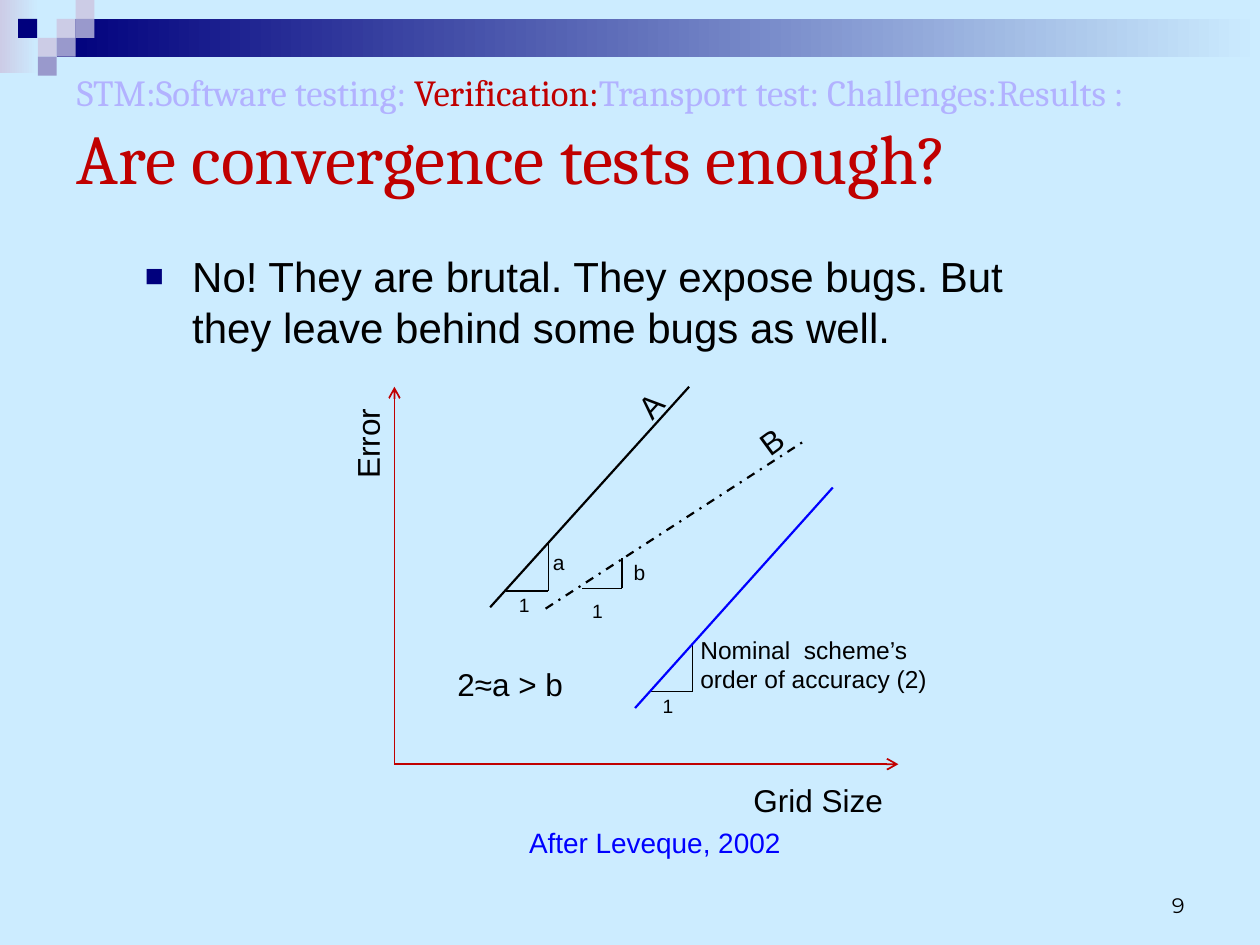
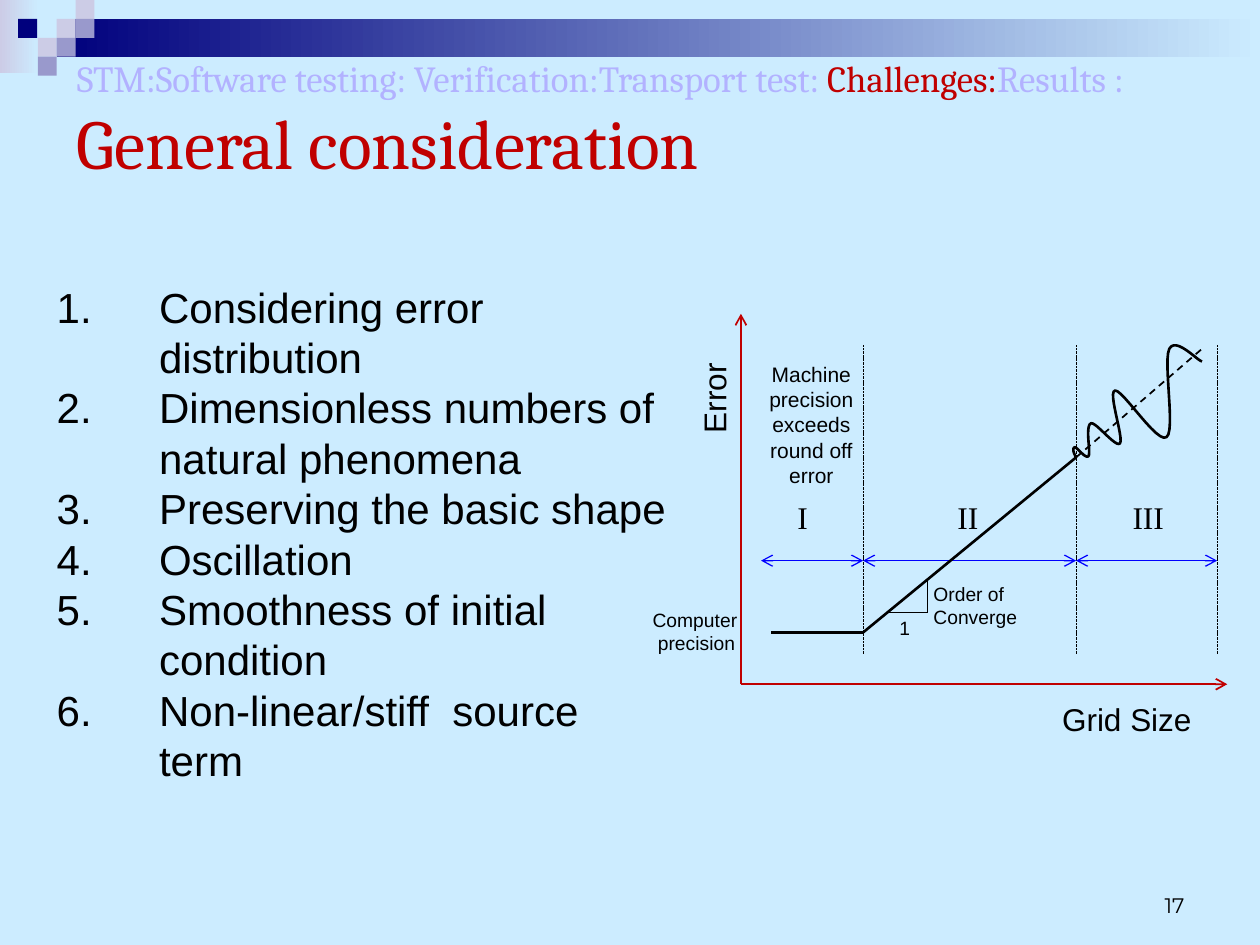
"""Build two slides on convergence tests and error regions."""
from lxml.etree import SubElement as Sub
from pptx import Presentation
from pptx.dml.color import RGBColor
from pptx.enum.dml import MSO_LINE as Dash
from pptx.enum.shapes import MSO_CONNECTOR as Conn, MSO_SHAPE as Kind
from pptx.enum.text import MSO_ANCHOR as Anchor, MSO_AUTO_SIZE as Auto, PP_ALIGN as Align
from pptx.oxml.ns import qn
from pptx.util import Pt

SKY, NAVY, LILAC, MID = "CCECFF", "00007D", "CCCCE6", "9999CC"
RED, BLUE, BLACK, FADED = "C00000", "0000FF", "000000", "B2B2FF"
SANS, SERIF, ROMAN, FOOT = "Arial", "Cambria", "Times New Roman", "Montserrat"

CRUMBS = ["STM:", "Software testing: ", "Verification:",
          "Transport test: ", "Challenges:", "Results :"]
BANDS = [(0, 0, 22.3, 41.8, LILAC), (32.4, 10.8, 687.6, 21.6, NAVY)]
TILE = 10.8
TILES = [(32.4, 10.8, LILAC), (43.2, 0, LILAC), (43.2, 10.8, MID),
         (21.6, 21.6, LILAC), (10.4, 10.8, NAVY), (32.4, 21.6, MID),
         (21.6, 32.4, MID)]

TESTS = {
    "title": "Are convergence tests enough?", "crumb": 2, "page": "9",
    "head": (36.7, 31.7, 674.6, 90),
    "body": (75.6, 139.7, 553.7, 72.7),
    "items": ["No! They are brutal. They expose bugs. "
              "But they leave behind some bugs as well."],
    "axes": (225.4, 436.7, 221, 513.4),
    "steps": [(372.2, 395.3, 23.4, 27.4), (289.4, 337.7, 24, 27.4),
              (332.6, 336.2, 22.8, 17.2)],
    "labels": [
        ("Grid Size", (423.4, 442.8, 90, 28.8), 18, {}),
        ("Error", (180, 236.2, 59.8, 28.8), 18, {"turn": 270}),
        ("1", (371.5, 393.1, 21, 20.9), 11, {}),
        ("Nominal  scheme’s order of accuracy (2)",
         (393.1, 359.3, 147.6, 41), 14, {}),
        ("1", (289.4, 335.5, 21, 20.9), 11, {}),
        ("1", (331.2, 339.1, 21, 20.9), 11, {}),
        ("A", (358.6, 217.4, 25.9, 28.8), 18, {"turn": 312.4}),
        ("B", (427.7, 237.6, 25.9, 28.8), 18, {"turn": 323.8}),
        ("a", (308.9, 310.3, 22, 21.6), 12, {}),
        ("b", (355, 316.1, 22, 21.6), 12, {}),
        ("2≈a > b", (254.2, 376.6, 77.8, 28.8), 18, {}),
        ("After Leveque, 2002", (295.2, 468, 202.3, 26.6), 16, {"color": BLUE}),
    ],
}
TRENDS = [((362.9, 404.6), (475.9, 278.6), BLUE, None),
          ((280.1, 347), (393.8, 221), BLACK, None),
          ((311.8, 347.8), (458.6, 252.7), BLACK, Dash.DASH_DOT)]

ERRORS = {
    "title": "General consideration", "crumb": 4, "page": "17",
    "head": (36.7, 25.9, 674.6, 85),
    "body": (25.2, 157, 362.9, 326.9),
    "items": ["Considering error distribution",
              "Dimensionless numbers of natural phenomena",
              "Preserving the basic shape", "Oscillation",
              "Smoothness of initial condition",
              "Non-linear/stiff  source term"],
    "axes": (423.4, 391, 179.3, 701.3),
    "steps": [(507.6, 349.9, 22.5, 18)],
    "labels": [
        ("Grid Size", (599.8, 396.7, 101.5, 28.8), 18, {}),
        ("Error", (370.8, 202.3, 74.9, 29.5), 18, {"turn": 270}),
        ("Machine precision\nexceeds round off error",
         (429.1, 203, 69.1, 78.5), 12, {"align": Align.CENTER}),
        ("Computer\n precision", (365.8, 344.2, 74.9, 33.1), 11, {}),
        ("1", (506.9, 348.5, 21, 20.2), 11, {}),
        ("Order of Converge", (526.3, 329, 80, 34), 11, {}),
        ("III", (640.1, 280.8, 33.1, 28.8), 18, {"font": ROMAN}),
        ("II", (540, 280.8, 33.1, 28.8), 18, {"font": ROMAN}),
        ("I", (448.6, 280.8, 33.1, 28.8), 18, {"font": ROMAN}),
    ],
}
BOUNDS = [434.9, 493.2, 614.9, 695.5]
SPAN_Y, WALL_TOP, WALL_END = 320.4, 197.3, 373.7
FLOOR, KNEE, PEAK, TIP = (440.6, 361.4), (493.2, 361.4), (614.9, 261.4), (687.6, 198.7)
WAVE = [
    ((613.4, 258.5), (612.7, 256.3), (614.2, 255.6)),
    ((615.6, 255.6), (620.6, 262.8), (622.1, 260.6)),
    ((623.5, 258.5), (619.9, 243.4), (623.5, 241.9)),
    ((626.4, 241.2), (637.9, 256.3), (640.1, 253.4)),
    ((642.2, 249.8), (632.9, 223.9), (637.2, 223.2)),
    ((641.5, 222.5), (661.7, 254.2), (666.7, 249.8)),
    ((671.8, 246.2), (664.6, 206.6), (668.2, 199.4)),
    ((671.8, 192.2), (684, 205.9), (686.9, 206.6)),
]


def rgb(code):
    return RGBColor.from_string(code)


def pts(*nums):
    return [Pt(n) for n in nums]


def style(run, size, color=BLACK, font=SANS):
    run.font.size, run.font.name = Pt(size), font
    run.font.color.rgb = rgb(color)


def place(shape, box):
    shape.left, shape.top, shape.width, shape.height = pts(*box)


def block(slide, box, color, fade=False):
    shape = slide.shapes.add_shape(Kind.RECTANGLE, *pts(*box))
    shape.shadow.inherit = False
    shape.line.fill.background()
    if fade:
        shape.fill.gradient()
        shape.fill.gradient_angle = 0
        for stop, code in zip(shape.fill.gradient_stops, (color, SKY)):
            stop.color.rgb = rgb(code)
    else:
        shape.fill.solid()
        shape.fill.fore_color.rgb = rgb(color)


def line(slide, start, end, color=BLACK, width=0.75, dash=None, tips=()):
    wire = slide.shapes.add_connector(Conn.STRAIGHT, *pts(*start, *end))
    wire.line.color.rgb, wire.line.width = rgb(color), Pt(width)
    if dash:
        wire.line.dash_style = dash
    for tip in tips:
        Sub(wire.line._get_or_add_ln(), qn(f"a:{tip}End"), type="arrow")
    Sub(wire._element.spPr, qn("a:effectLst"))


def label(slide, text, box, size, color=BLACK, font=SANS, turn=0,
          align=Align.LEFT, anchor=Anchor.TOP):
    shape = slide.shapes.add_textbox(*pts(*box))
    shape.rotation = turn
    frame = shape.text_frame
    frame.word_wrap, frame.vertical_anchor = True, anchor
    frame.text = text
    for para in frame.paragraphs:
        para.alignment = align
        for run in para.runs:
            style(run, size, color, font)


def header(slide, data):
    shape = slide.shapes.title
    place(shape, data["head"])
    frame = shape.text_frame
    frame.auto_size, frame.vertical_anchor = Auto.NONE, Anchor.MIDDLE
    trail, name = frame.paragraphs[0], frame.add_paragraph()
    for i, crumb in enumerate(CRUMBS):
        run = trail.add_run()
        run.text = crumb
        style(run, 21, RED if i == data["crumb"] else FADED, SERIF)
    name.text = data["title"]
    style(name.runs[0], 40, RED, SERIF)
    trail.alignment = name.alignment = Align.LEFT


def listing(slide, data):
    shape = slide.placeholders[1]
    place(shape, data["body"])
    frame = shape.text_frame
    frame.auto_size = Auto.NONE
    frame.text = "\n".join(data["items"])
    count = len(data["items"]) > 1
    hang = Pt(58.5 if count else 27)
    for para in frame.paragraphs:
        style(para.runs[0], 24)
        props = para._p.get_or_add_pPr()
        props.set("marL", str(hang))
        props.set("indent", str(-hang))
        if count:
            para.space_before = Pt(0)
            Sub(props, qn("a:buFont"), typeface=SANS)
            Sub(props, qn("a:buAutoNum"), type="arabicPeriod")
        else:
            Sub(Sub(props, qn("a:buClr")), qn("a:srgbClr"), val=NAVY)
            Sub(props, qn("a:buSzPct"), val="75000")
            Sub(props, qn("a:buFont"), typeface=SANS)
            Sub(props, qn("a:buChar"), char="■")


def base(deck, data):
    slide = deck.slides.add_slide(deck.slide_layouts[1])
    for *box, color in BANDS:
        block(slide, box, color, True)
    for x, y, color in TILES:
        block(slide, (x, y, TILE, TILE), color)
    header(slide, data)
    listing(slide, data)
    label(slide, data["page"], (516.2, 491.8, 167.8, 36), 12, font=FOOT,
          align=Align.RIGHT, anchor=Anchor.BOTTOM)
    x, y, top, right = data["axes"]
    for end in ((x, top), (right, y)):
        line(slide, (x, y), end, RED, 1, tips=["tail"])
    for x, y, run, rise in data["steps"]:
        line(slide, (x, y), (x + run, y))
        line(slide, (x + run, y), (x + run, y - rise))
    for text, box, size, opts in data["labels"]:
        label(slide, text, box, size, **opts)
    return slide


def curve(start, parts, count=12):
    dots = [start]
    for b, c, d in parts:
        a = dots[-1]
        for i in range(1, count + 1):
            t = i / count
            u = 1 - t
            dots.append(tuple(
                u**3 * p + 3 * u * u * t * q + 3 * u * t * t * r + t**3 * s
                for p, q, r, s in zip(a, b, c, d)))
    return dots


def regions(slide):
    for left, right in zip(BOUNDS, BOUNDS[1:]):
        line(slide, (right, SPAN_Y), (left, SPAN_Y), BLUE, tips=["head", "tail"])
        line(slide, (right, WALL_END), (right, WALL_TOP), width=0.5,
             dash=Dash.SQUARE_DOT)
    line(slide, FLOOR, KNEE, width=1.5)
    line(slide, KNEE, PEAK, width=1.5)
    line(slide, PEAK, TIP, width=1, dash=Dash.DASH)
    first, *rest = [pts(*dot) for dot in curve(PEAK, WAVE)]
    pen = slide.shapes.build_freeform(*first)
    pen.add_line_segments(rest, close=False)
    wave = pen.convert_to_shape()
    wave.shadow.inherit = False
    wave.fill.background()
    wave.line.color.rgb, wave.line.width = rgb(BLACK), Pt(1.5)


def main():
    deck = Presentation()
    deck.slide_width, deck.slide_height = pts(720, 540)
    back = deck.slide_master.background.fill
    back.solid()
    back.fore_color.rgb = rgb(SKY)
    tests = base(deck, TESTS)
    for start, end, color, dash in TRENDS:
        line(tests, start, end, color, 1.25, dash)
    regions(base(deck, ERRORS))
    deck.save("out.pptx")


if __name__ == "__main__":
    main()
